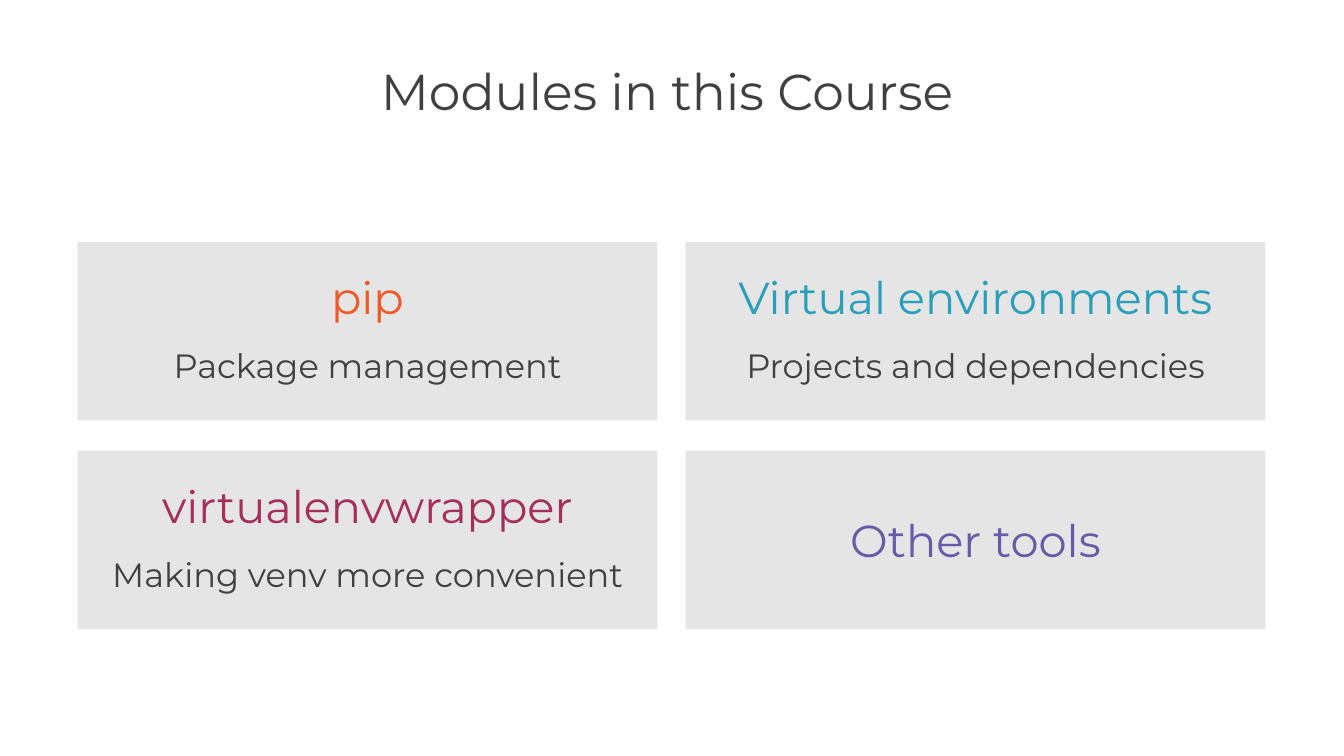
from pptx import Presentation
from pptx.dml.color import RGBColor
from pptx.enum import shapes, text
from pptx.util import Inches, Pt

FONT = "Montserrat"
WHITE = RGBColor(0xFF, 0xFF, 0xFF)
PANEL_GRAY = RGBColor(0xE5, 0xE5, 0xE5)
DARK_GRAY = RGBColor(0x40, 0x40, 0x40)
ORANGE = RGBColor(0xF0, 0x5A, 0x28)
TEAL = RGBColor(0x2A, 0x9F, 0xBC)
MAGENTA = RGBColor(0xA6, 0x2E, 0x5C)
PURPLE = RGBColor(0x67, 0x5B, 0xA7)


def style_line(line, size, color, spacing):
    line.alignment = text.PP_ALIGN.CENTER
    line.line_spacing = spacing
    font = line.runs[0].font
    font.name = FONT
    font.size = Pt(size)
    font.color.rgb = color


deck = Presentation()
deck.slide_width, deck.slide_height = Inches(13.33), Inches(7.5)
slide = deck.slides.add_slide(deck.slide_layouts[6])
slide.background.fill.solid()
slide.background.fill.fore_color.rgb = WHITE

# Title
title = slide.shapes.add_textbox(
    Inches(0.77), Inches(0.64), Inches(11.79), Inches(0.48)).text_frame
title.word_wrap = True
title.margin_left = 0
title.text = "Modules in this Course"
style_line(title.paragraphs[0], 36, DARK_GRAY, 0.85)

# Course modules in a two-by-two grid
LEFT, TOP = 0.77, 2.4
WIDTH, HEIGHT = 5.75, 1.77
COLUMN_STEP, ROW_STEP = 6.03, 2.07
modules = [
    (["pip", "Package management"], ORANGE, 0.9),
    (["Virtual environments", "Projects and dependencies"], TEAL, 0.9),
    (["virtualenvwrapper", "Making venv more convenient"], MAGENTA, 0.9),
    (["Other tools"], PURPLE, 1.0),
]
for index, (lines, accent, spacing) in enumerate(modules):
    row, column = divmod(index, 2)
    panel = slide.shapes.add_shape(
        shapes.MSO_SHAPE.RECTANGLE,
        Inches(LEFT + column * COLUMN_STEP), Inches(TOP + row * ROW_STEP),
        Inches(WIDTH), Inches(HEIGHT))
    panel.shadow.inherit = False
    panel.fill.solid()
    panel.fill.fore_color.rgb = PANEL_GRAY
    panel.line.fill.background()

    frame = panel.text_frame
    frame.word_wrap = True
    frame.vertical_anchor = text.MSO_ANCHOR.MIDDLE
    frame.margin_left = frame.margin_right = Inches(0.3)
    frame.margin_top = frame.margin_bottom = Inches(0.3)
    frame.text = "\n".join(lines)
    for line, size, color in zip(frame.paragraphs, (32, 24), (accent, DARK_GRAY)):
        style_line(line, size, color, spacing)
        line.space_before = Pt(18)

deck.save("out.pptx")
